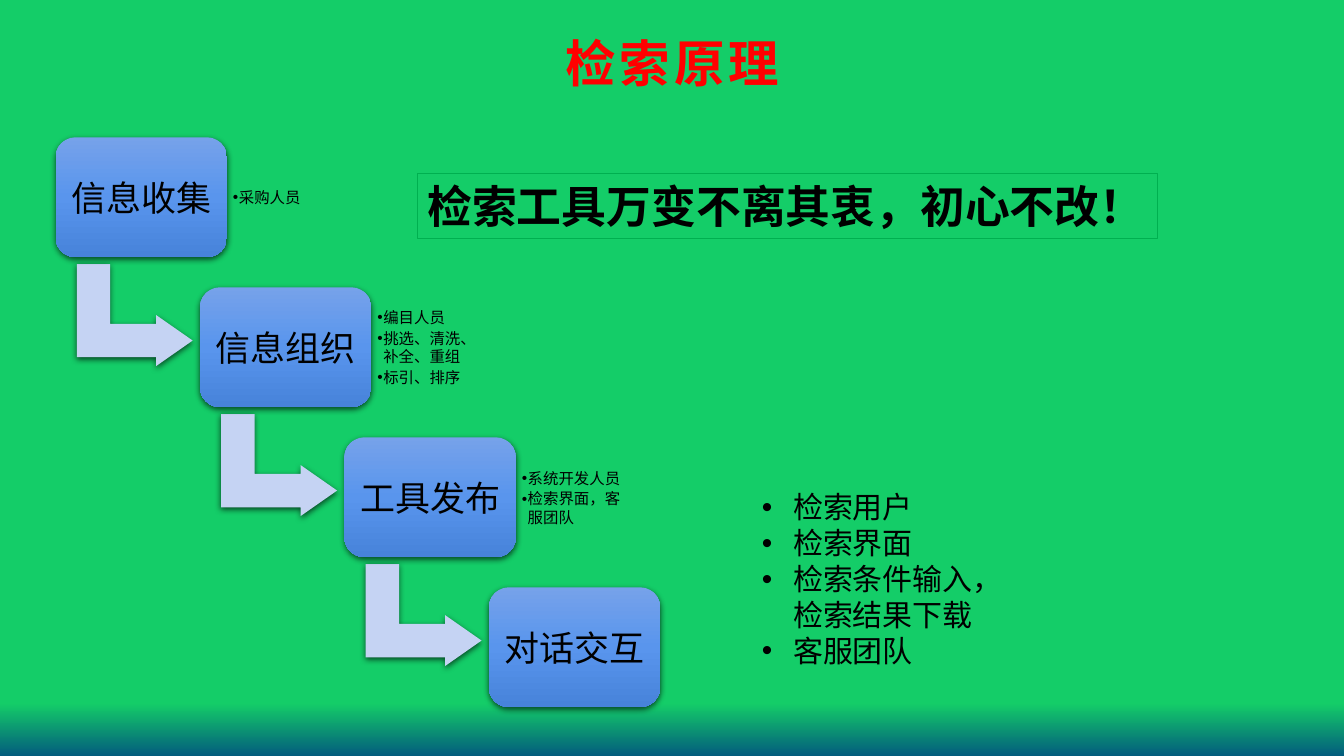
import copy

import pptx
import pptx.dml.color
import pptx.enum.shapes
import pptx.enum.text
import pptx.oxml
import pptx.oxml.ns
import pptx.util
from pptx.util import Cm

COLORS = {
    "green": "14CD68", "teal": "035C7D", "title": "FF0000", "text": "000000",
    "arrow": "C5D3F3", "border": "00B050",
    "box_top": "76A2EA", "box_middle": "5995ED", "box_bottom": "4783DA",
}
STAGES = [
    ("信息收集", ["采购人员"]),
    ("信息组织", ["编目人员", "挑选、清洗、补全、重组", "标引、排序"]),
    ("工具发布", ["系统开发人员", "检索界面，客服团队"]),
    ("对话交互", []),
]
DIALOGUE = ["检索用户", "检索界面", "检索条件输入，检索结果下载", "客服团队"]
SHAPES = pptx.enum.shapes.MSO_SHAPE
ALIGN = pptx.enum.text.PP_ALIGN
ANCHOR = pptx.enum.text.MSO_ANCHOR
NS = pptx.oxml.ns.nsdecls("a")


def rgb(name):
    return pptx.dml.color.RGBColor.from_string(COLORS[name])


def set_stops(fill, stops):
    fill.gradient_angle = 270
    for stop, (position, color) in zip(fill.gradient_stops, stops):
        stop.position = position
        stop.color.rgb = rgb(color)


def add_shadow(shape):
    shape.element.spPr.append(pptx.oxml.parse_xml(
        f'<a:effectLst {NS}><a:outerShdw blurRad="57150" dist="19050" dir="5400000" '
        'algn="ctr" rotWithShape="0"><a:srgbClr val="000000"><a:alpha val="63000"/>'
        '</a:srgbClr></a:outerShdw></a:effectLst>'))


def write(shape, lines, size, color="text", bold=False, align=ALIGN.LEFT,
          anchor=ANCHOR.MIDDLE, inset=0.25, wrap=True):
    frame = shape.text_frame
    frame.word_wrap = wrap
    frame.vertical_anchor = anchor
    frame.margin_left = frame.margin_right = Cm(inset)
    frame.margin_top = frame.margin_bottom = Cm(min(inset, 0.13))
    frame.text = "\n".join(lines)
    for paragraph in frame.paragraphs:
        paragraph.alignment = align
        for run in paragraph.runs:
            run.font.size = pptx.util.Pt(size)
            run.font.name = "Arial"
            run.font.bold = bold
            run.font.color.rgb = rgb(color)
    return frame


def add_text(slide, left, top, width, height, lines, size, **style):
    box = slide.shapes.add_textbox(Cm(left), Cm(top), Cm(width), Cm(height))
    return write(box, lines, size, **style)


def add_bullets(frame, indent, gap=0):
    for paragraph in frame.paragraphs:
        paragraph.space_after = pptx.util.Pt(gap)
        properties = paragraph._p.get_or_add_pPr()
        properties.set("marL", str(Cm(indent)))
        properties.set("indent", str(-Cm(indent)))
        properties.append(pptx.oxml.parse_xml(f'<a:buFont {NS} typeface="Arial"/>'))
        properties.append(pptx.oxml.parse_xml(f'<a:buChar {NS} char="•"/>'))


def add_stage(slide, left, top, label):
    stage = slide.shapes.add_shape(SHAPES.ROUNDED_RECTANGLE, Cm(left), Cm(top), Cm(4.32), Cm(3.02))
    stage.adjustments[0] = 0.167
    stage.line.fill.background()
    stage.fill.gradient()
    stops = stage.element.spPr.find(".//" + pptx.oxml.ns.qn("a:gsLst"))
    stops.append(copy.deepcopy(stops[0]))
    set_stops(stage.fill, [(0, "box_top"), (0.5, "box_middle"), (1, "box_bottom")])
    add_shadow(stage)
    write(stage, [label], 25, align=ALIGN.CENTER, inset=0.05)


def add_step_arrow(slide, left, top):
    arrow = slide.shapes.add_shape(SHAPES.BENT_UP_ARROW, Cm(left), Cm(top), Cm(2.57), Cm(2.92))
    arrow.rotation = 90
    for index, value in enumerate((0.328, 0.25, 0.358)):
        arrow.adjustments[index] = value
    arrow.fill.solid()
    arrow.fill.fore_color.rgb = rgb("arrow")
    arrow.line.fill.background()
    add_shadow(arrow)


def add_staircase(slide):
    for index, (label, duties) in enumerate(STAGES):
        left, top = 1.4 + 3.64 * index, 3.46 + 3.78 * index
        if index < len(STAGES) - 1:
            add_step_arrow(slide, left + 0.71, top + 3.02)
        add_stage(slide, left, top, label)
        if duties:
            frame = add_text(slide, left + 4.32, top + 0.3, 3.12, 2.44, duties, 11, inset=0.15)
            add_bullets(frame, 0.15, 1.65)


def add_motto(slide):
    motto = slide.shapes.add_shape(SHAPES.RECTANGLE, Cm(10.52), Cm(4.37), Cm(18.64), Cm(1.63))
    motto.shadow.inherit = False
    motto.fill.background()
    motto.line.color.rgb = rgb("border")
    motto.line.width = pptx.util.Pt(0.75)
    write(motto, ["检索工具万变不离其衷，初心不改！"], 32, bold=True, anchor=ANCHOR.TOP, wrap=False)


def main():
    deck = pptx.Presentation()
    deck.slide_width, deck.slide_height = Cm(33.87), Cm(19.05)
    slide = deck.slides.add_slide(deck.slide_layouts[6])
    background = slide.background.fill
    background.gradient()
    set_stops(background, [(0.93, "green"), (1, "teal")])

    title = add_text(slide, 1.7, 0, 30.48, 3.15, ["检索原理"], 36,
                     color="title", bold=True, align=ALIGN.CENTER)
    title.paragraphs[0].runs[0].font._element.set("spc", "300")
    add_staircase(slide)
    dialogue = add_text(slide, 18.95, 12.19, 6.88, 4.83, DIALOGUE, 21.4, anchor=ANCHOR.TOP)
    add_bullets(dialogue, 0.79)
    add_motto(slide)
    deck.save("out.pptx")


main()
